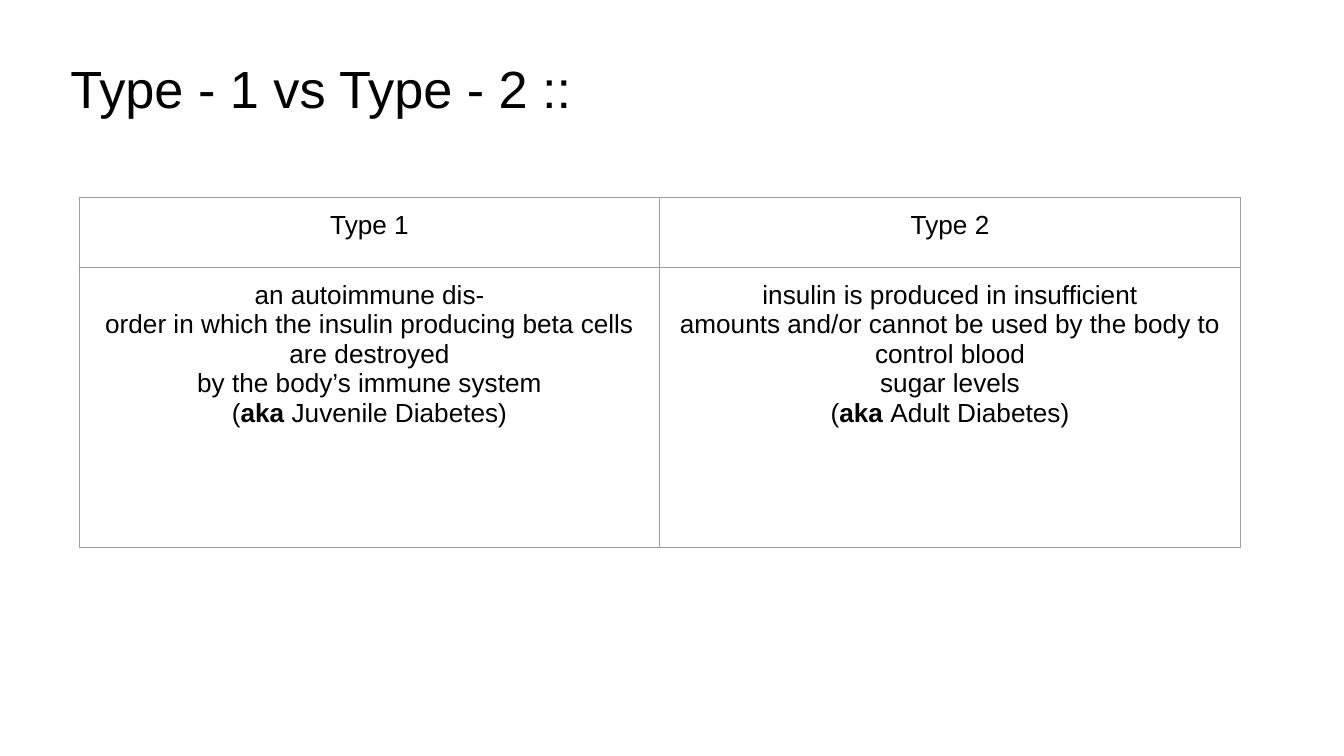
"""Build a slide that compares type 1 and type 2 diabetes in a table."""

from dataclasses import dataclass

from lxml.etree import SubElement
from pptx import Presentation
from pptx.dml.color import RGBColor
from pptx.enum.text import MSO_ANCHOR, MSO_AUTO_SIZE, PP_ALIGN
from pptx.oxml.ns import qn
from pptx.slide import Slide
from pptx.table import _Cell
from pptx.text.text import TextFrame, _Paragraph
from pptx.util import Pt


@dataclass(frozen=True)
class Theme:
    font: str = "Arial"
    text: str = "000000"
    border: str = "9E9E9E"
    border_width: float = 0.75
    title_size: float = 28
    table_size: float = 14
    inset: float = 7.2


@dataclass(frozen=True)
class DiabetesType:
    name: str
    description: tuple[str, ...]
    alias: str


THEME = Theme()
TYPES = (
    DiabetesType(
        "Type 1",
        (
            "an autoimmune dis-",
            "order in which the insulin producing beta cells are destroyed",
            "by the body’s immune system",
        ),
        "Juvenile Diabetes",
    ),
    DiabetesType(
        "Type 2",
        (
            "insulin is produced in insufficient",
            "amounts and/or cannot be used by the body to control blood",
            "sugar levels",
        ),
        "Adult Diabetes",
    ),
)
COLUMN_WIDTH = 311
ROW_HEIGHTS = (37.5, 150)


def format_paragraph(paragraph: _Paragraph, size: float, alignment: PP_ALIGN) -> None:
    paragraph.alignment = alignment
    paragraph.font.name = THEME.font
    paragraph.font.size = Pt(size)
    paragraph.font.color.rgb = RGBColor.from_string(THEME.text)


def set_insets(target: TextFrame | _Cell) -> None:
    for side in ("left", "top", "right", "bottom"):
        setattr(target, f"margin_{side}", Pt(THEME.inset))


def add_borders(cell: _Cell) -> None:
    properties = cell._tc.get_or_add_tcPr()
    for side in ("lnL", "lnR", "lnT", "lnB"):
        line = SubElement(properties, qn(f"a:{side}"), w=str(Pt(THEME.border_width)))
        fill = SubElement(line, qn("a:solidFill"))
        SubElement(fill, qn("a:srgbClr"), val=THEME.border)


def format_cell(cell: _Cell) -> None:
    set_insets(cell)
    cell.vertical_anchor = MSO_ANCHOR.TOP
    add_borders(cell)
    cell.fill.background()
    for paragraph in cell.text_frame.paragraphs:
        format_paragraph(paragraph, THEME.table_size, PP_ALIGN.CENTER)


def add_alias(frame: TextFrame, alias: str) -> None:
    paragraph = frame.add_paragraph()
    for text, bold in (("(", False), ("aka ", True), (f"{alias})", False)):
        run = paragraph.add_run()
        run.text = text
        run.font.bold = bold


def set_title(slide: Slide, text: str) -> None:
    title = slide.shapes.title
    title.left, title.top, title.width, title.height = Pt(30.5), Pt(23), Pt(671), Pt(45)
    frame = title.text_frame
    frame.text = text
    frame.auto_size = MSO_AUTO_SIZE.NONE
    frame.vertical_anchor = MSO_ANCHOR.TOP
    set_insets(frame)
    format_paragraph(frame.paragraphs[0], THEME.title_size, PP_ALIGN.LEFT)


def add_comparison(slide: Slide, types: tuple[DiabetesType, ...]) -> None:
    table = slide.shapes.add_table(
        len(ROW_HEIGHTS), len(types), Pt(42.5), Pt(105.75),
        Pt(COLUMN_WIDTH * len(types)), Pt(sum(ROW_HEIGHTS)),
    ).table
    table.first_row = table.horz_banding = False
    for row, height in zip(table.rows, ROW_HEIGHTS):
        row.height = Pt(height)
    for column, diabetes in enumerate(types):
        heading, body = table.cell(0, column), table.cell(1, column)
        heading.text = diabetes.name
        body.text = "\n".join(diabetes.description)
        add_alias(body.text_frame, diabetes.alias)
        format_cell(heading)
        format_cell(body)


def main() -> None:
    presentation = Presentation()
    presentation.slide_width, presentation.slide_height = Pt(720), Pt(405)
    slide = presentation.slides.add_slide(presentation.slide_layouts[5])
    set_title(slide, "Type - 1 vs Type - 2 ::")
    add_comparison(slide, TYPES)
    presentation.save("out.pptx")


if __name__ == "__main__":
    main()
